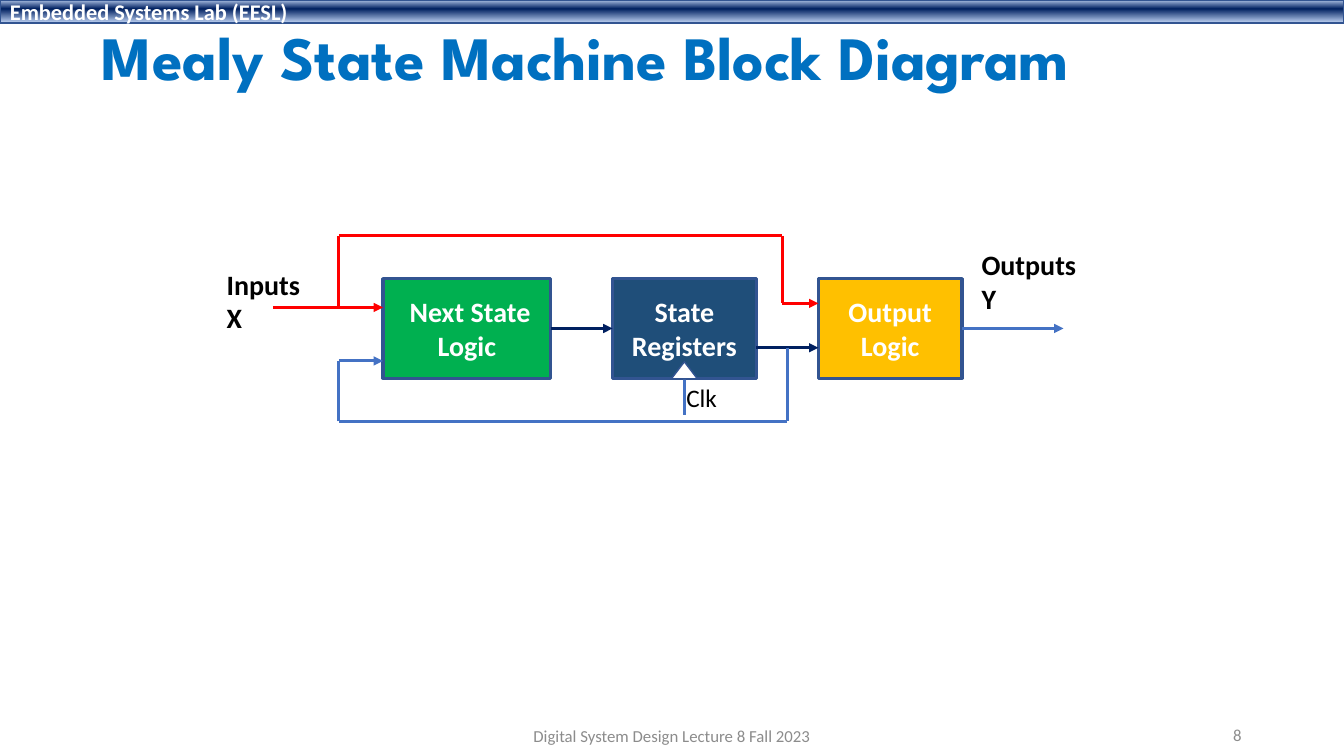
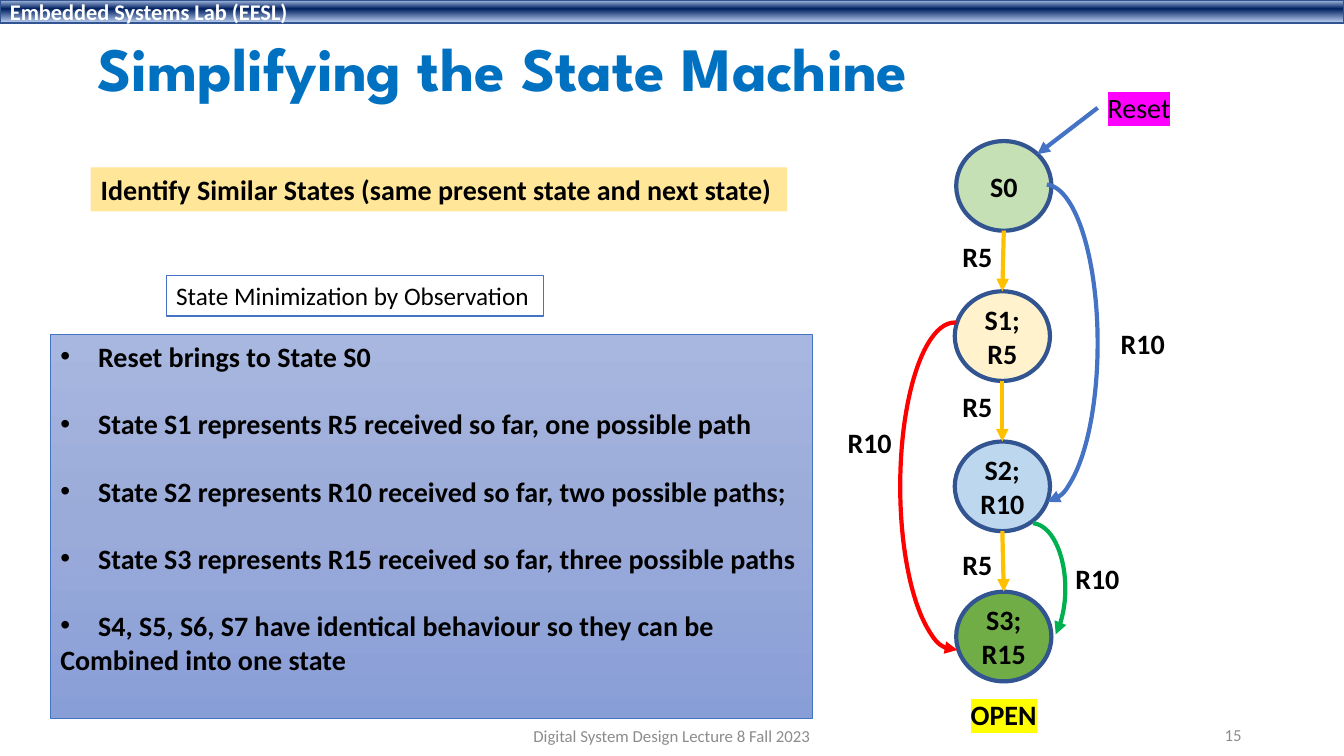
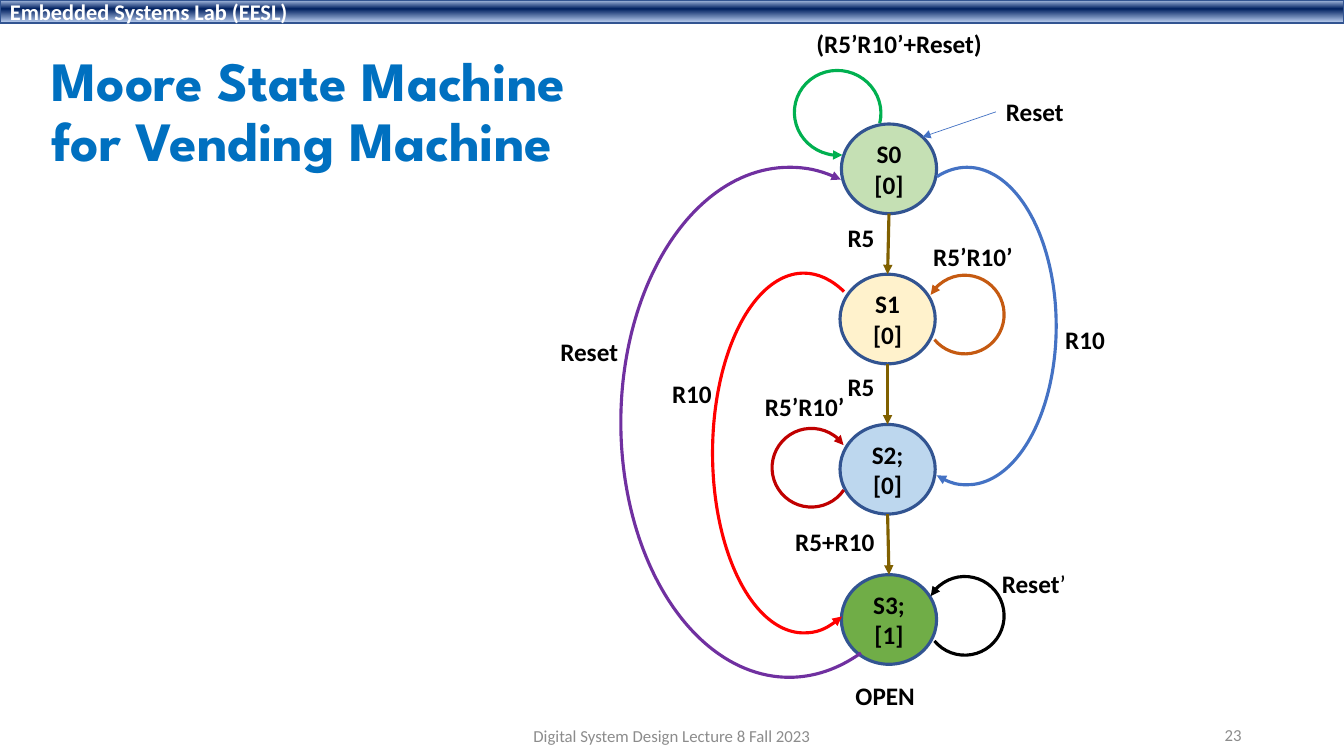
import lxml.etree
import pptx
import pptx.dml.color
import pptx.enum.shapes
import pptx.enum.text
import pptx.oxml.ns
import pptx.util

RGB = pptx.dml.color.RGBColor
KIND = pptx.enum.shapes.MSO_SHAPE
ALIGN = pptx.enum.text.PP_ALIGN
ANCHOR = pptx.enum.text.MSO_ANCHOR
FIT = pptx.enum.text.MSO_AUTO_SIZE.SHAPE_TO_FIT_TEXT

# Colours
BLACK, WHITE = RGB(0, 0, 0), RGB(255, 255, 255)
GREY = RGB(0x8C, 0x8C, 0x8C)
TITLE = RGB(0x00, 0x70, 0xC0)
EDGE = RGB(0x32, 0x54, 0x91)
BLUE = RGB(0x44, 0x72, 0xC4)
NAVY = RGB(0x00, 0x20, 0x60)
STEEL = RGB(0x1F, 0x4E, 0x79)
RED = RGB(0xFF, 0x00, 0x00)
CRIMSON = RGB(0xC0, 0x00, 0x00)
GREEN = RGB(0x00, 0xB0, 0x50)
GOLD = RGB(0xFF, 0xC0, 0x00)
CREAM = RGB(0xFF, 0xE6, 0x99)
OLIVE = RGB(0x80, 0x60, 0x00)
RUST = RGB(0xC5, 0x5A, 0x11)
PURPLE = RGB(0x70, 0x30, 0xA0)
PINK = RGB(0xFF, 0x00, 0xFF)
YELLOW = RGB(0xFF, 0xFF, 0x00)
SKY, MIST = RGB(0xAB, 0xC0, 0xE4), RGB(0xAC, 0xC1, 0xE5)
STATES = (RGB(0xC5, 0xE0, 0xB4), RGB(0xFF, 0xF2, 0xCC),
          RGB(0xBD, 0xD7, 0xEE), RGB(0x70, 0xAD, 0x47))

# Gradient stops: position in percent, colour
BAND = ((0, SKY), (38, NAVY), (93, MIST), (100, MIST))
PANEL = ((0, RGB(0xA8, 0xB7, 0xDF)), (50, RGB(0x9A, 0xAB, 0xD9)),
         (100, RGB(0x88, 0x9E, 0xD7)))

# State circles
WIDE, HIGH, PITCH = 68, 64, 107.3


def pts(*nums):
    return [pptx.util.Pt(n) for n in nums]


def add(parent, tag, **attrs):
    return lxml.etree.SubElement(parent, pptx.oxml.ns.qn(tag), **attrs)


def write(shape, text, size, color=BLACK, bold=True, align=ALIGN.LEFT,
          anchor=ANCHOR.TOP, wrap=False, face="Calibri"):
    frame = shape.text_frame
    frame.text = text
    frame.word_wrap = wrap
    frame.vertical_anchor = anchor
    for para in frame.paragraphs:
        para.alignment = align
        font = para.font
        font.name, font.size, font.bold = face, pptx.util.Pt(size), bold
        font.color.rgb = color
    return frame


def label(slide, text, x, y, w, size=20, mark=None, **style):
    rows = text.count("\n") + 1
    box = slide.shapes.add_textbox(*pts(x, y, w, rows * size * 1.2 + 7.2))
    frame = write(box, text, size, **style)
    frame.auto_size = FIT
    if mark:
        props = frame.paragraphs[0].runs[0].font._element
        add(add(props, "a:highlight"), "a:srgbClr", val=str(mark))
    return frame


def block(slide, kind, x, y, w, h, fill=None, edge=None, weight=1.0):
    shape = slide.shapes.add_shape(kind, *pts(x, y, w, h))
    shape.shadow.inherit = False
    if fill:
        shape.fill.solid()
        shape.fill.fore_color.rgb = fill
    else:
        shape.fill.background()
    if edge:
        shape.line.color.rgb = edge
        shape.line.width = pptx.util.Pt(weight)
    else:
        shape.line.fill.background()
    return shape


def fade(shape, stops):
    shape.fill.gradient()
    shape.fill.gradient_angle = 270
    group = next(shape.element.spPr.iter(pptx.oxml.ns.qn("a:gsLst")))
    for old in list(group):
        group.remove(old)
    for pos, color in stops:
        stop = add(group, "a:gs", pos=str(pos * 1000))
        add(stop, "a:srgbClr", val=str(color))


def point(shape, end="tail"):
    line = shape.element.spPr.find(pptx.oxml.ns.qn("a:ln"))
    add(line, f"a:{end}End", type="triangle")


def link(slide, start, stop, color, weight=2.25, arrow=True,
         source=None, target=None):
    wire = slide.shapes.add_connector(
        pptx.enum.shapes.MSO_CONNECTOR.STRAIGHT, *pts(*start, *stop))
    wire.line.color.rgb = color
    wire.line.width = pptx.util.Pt(weight)
    add(wire.element.spPr, "a:effectLst")
    if arrow:
        point(wire)
    if source:
        wire.begin_connect(*source)
    if target:
        wire.end_connect(*target)


def route(slide, stops, color):
    last = len(stops) - 2
    for i, (start, stop) in enumerate(zip(stops, stops[1:])):
        link(slide, start, stop, color, arrow=i == last)


def arc(slide, x, y, w, h, span, color, weight=2.25, end="tail",
        flip=False, turn=0):
    curve = block(slide, KIND.ARC, x, y, w, h, None, color, weight)
    curve.adjustments[0], curve.adjustments[1] = span
    curve.rotation = turn
    if flip:
        curve.element.spPr.find(pptx.oxml.ns.qn("a:xfrm")).set("flipH", "1")
    point(curve, end)


def loop(slide, x, y, w, h, color, turn, flip=False):
    arc(slide, x, y, w, h, (41.84, 0), color, end="head", flip=flip, turn=turn)


def chain(slide, x, y, names, size, weight, color):
    """Column of four states joined by downward arrows."""
    spots = [(x + dx, y + i * PITCH) for i, dx in enumerate((0, -1, -1, 0))]
    for (left, top), name, fill in zip(spots, names, STATES):
        node = block(slide, KIND.OVAL, left, top, WIDE, HIGH,
                     fill, EDGE, weight)
        write(node, name, size, align=ALIGN.CENTER, anchor=ANCHOR.MIDDLE)
    for (ax, ay), (bx, by) in zip(spots, spots[1:]):
        link(slide, (ax + WIDE / 2, ay + HIGH), (bx + WIDE / 2, by),
             color, weight)


def base(deck, title, area, number, size=44):
    """New slide with band, title, footer and number."""
    slide = deck.slides.add_slide(deck.slide_layouts[6])
    band = block(slide, KIND.RECTANGLE, 0, 0, 960, 16.6, NAVY, EDGE)
    fade(band, BAND)
    write(band, "Embedded Systems Lab (EESL)", 16, WHITE,
          anchor=ANCHOR.MIDDLE, wrap=True)
    head = slide.shapes.add_textbox(*pts(*area))
    frame = write(head, title, size, TITLE, anchor=ANCHOR.MIDDLE,
                  wrap=True, face="League Spartan")
    frame.paragraphs[0].line_spacing = 0.9
    for text, x, y, w, align in (
            ("Digital System Design Lecture 8 Fall 2023",
             318, 511.5, 324, ALIGN.CENTER),
            (number, 678, 510.5, 216, ALIGN.RIGHT)):
        foot = slide.shapes.add_textbox(*pts(x, y, w, 28.8))
        write(foot, text, 12, GREY, False, align, ANCHOR.MIDDLE, True)
    return slide


def mealy(deck):
    slide = base(deck, "Mealy State Machine Block Diagram",
                 (65.5, 15.8, 828, 55.4), "8")
    # Logic blocks
    logic = []
    for text, x, w, fill in ((" Next State Logic", 273.6, 119.8, GREEN),
                             ("State Registers", 437.6, 102.6, STEEL),
                             ("Output Logic", 584.6, 102.6, GOLD)):
        box = block(slide, KIND.RECTANGLE, x, 199, w, 71.2, fill, EDGE, 2.25)
        write(box, text, 20, WHITE, align=ALIGN.CENTER,
              anchor=ANCHOR.MIDDLE, wrap=True)
        logic.append(box)
    following, store, output = logic
    # Signals
    link(slide, (195, 219.6), (273.6, 219.6), RED)
    route(slide, [(242, 219.6), (242, 168.5), (558.7, 168.5),
                  (558.7, 216.7), (584.6, 216.7)], RED)
    link(slide, (540.2, 248.4), (584.6, 248.4), NAVY)
    route(slide, [(562.3, 248.4), (562.3, 301), (242, 301),
                  (242, 257.8), (273.6, 257.8)], BLUE)
    link(slide, (393.4, 234.6), (437.6, 234.6), NAVY,
         source=(following, 3), target=(store, 1))
    link(slide, (687.2, 234.6), (759.6, 234.6), BLUE, source=(output, 3))
    label(slide, "Inputs\nX", 154.8, 187.2, 67.7)
    label(slide, "Outputs\nY", 694, 173.5, 82.8)
    # Clock
    link(slide, (488.9, 270.2), (488.9, 296.6), BLUE, arrow=False,
         source=(store, 2))
    block(slide, KIND.ISOSCELES_TRIANGLE, 479.5, 258.5, 18.7, 12.2,
          WHITE, EDGE)
    label(slide, "Clk", 483.1, 269.3, 36.7, 18, bold=False)


def simple(deck):
    slide = base(deck, "Simplifying the State Machine",
                 (62.6, 13.7, 655, 74.9), "15")
    # Notes on the left
    hint = block(slide, KIND.RECTANGLE, 64.8, 119.5, 497.5, 31.5, CREAM)
    write(hint, "Identify Similar States (same present state and next state)",
          20, wrap=True)
    method = block(slide, KIND.RECTANGLE, 118.8, 196.8, 269.3, 29, WHITE, BLUE)
    write(method, "State Minimization by Observation", 18, bold=False,
          wrap=True)
    panel = block(slide, KIND.RECTANGLE, 36, 239, 544.3, 273.8,
                  WHITE, BLUE, 0.5)
    fade(panel, PANEL)
    lines = ("Reset brings to State S0",
             "State S1 represents R5 received so far, one possible path",
             "State S2 represents R10 received so far, two possible paths;",
             "State S3 represents R15 received so far, three possible paths",
             "S4, S5, S6, S7 have identical behaviour so they can be",
             "Combined into one state")
    frame = write(panel, "\n".join(lines), 20, wrap=True)
    for i, para in enumerate(frame.paragraphs[:-1]):
        props = para._p.get_or_add_pPr()
        props.set("marL", str(pptx.util.Pt(27)))
        props.set("indent", str(pptx.util.Pt(-27)))
        if i:
            para.space_before = pptx.util.Pt(24)
        mark = props.find(pptx.oxml.ns.qn("a:defRPr"))
        for tag, attrs in (("a:buFont", {"typeface": "Arial"}),
                           ("a:buChar", {"char": "•"})):
            mark.addprevious(add(props, tag, **attrs))
    # State diagram
    chain(slide, 683, 100.8, ("S0", "S1;\nR5", "S2;\nR10", "S3;\nR15"),
          20, 3, GOLD)
    link(slide, (784.1, 77), (740.9, 110.2), BLUE, 3)
    arc(slide, 709.2, 131.8, 74.9, 226.8, (162.34, 53.5), BLUE, 3)
    arc(slide, 643, 230.4, 77.8, 234, (161.66, 54.56), RED, 3, flip=True)
    arc(slide, 712.8, 373.7, 48.2, 93.6, (162.78, 37.3), GREEN, 3)
    for y in (167.8, 275, 387.4):
        label(slide, "R5", 680.4, y, 36)
    for x, y in ((793.4, 229.7), (598.3, 300.2), (761, 397.4)):
        label(slide, "R10", x, y, 46)
    label(slide, "OPEN", 686.2, 494.6, 62, mark=YELLOW)
    label(slide, "Reset", 784.1, 61.2, 59.8, mark=PINK, bold=False)


def moore(deck):
    slide = base(deck, "Moore State Machine\vfor Vending Machine",
                 (29.5, 28.8, 450.7, 104.4), "23", 39.6)
    # States and transitions
    chain(slide, 601, 88.6, ("S0\n[0]", "S1\n[0]", "S2;\n[0]", "S3;\n[1]"),
          18, 2.25, OLIVE)
    link(slide, (711.4, 79.9), (658.8, 97.9), BLUE, 0.5)
    arc(slide, 627.1, 119.5, 127.4, 226.8, (155.17, 60.89), BLUE)
    arc(slide, 509, 195.1, 130.3, 257, (153.59, 61.87), RED, flip=True)
    arc(slide, 443.5, 119.5, 240.5, 364.3, (154.79, 64.38), PURPLE,
        end="head", flip=True)
    # Self loops
    loop(slide, 567.4, 50.4, 61.9, 60.5, GREEN, 13.8)
    loop(slide, 661, 196.6, 56.2, 56.2, RUST, 140.3)
    loop(slide, 661, 411.8, 56.2, 56.2, BLACK, 140.3)
    loop(slide, 551.5, 306, 56.2, 56.2, CRIMSON, 214.6, True)
    # Conditions
    for text, x, y, w in (("OPEN", 604, 482.4, 57.6),
                          ("R10", 753.8, 228.2, 44),
                          ("R10", 473, 266.4, 44),
                          ("R5", 598.3, 155.5, 33.8),
                          ("R5", 598.3, 262, 33.8),
                          ("R5+R10", 560.9, 372.2, 72),
                          ("Reset", 711.4, 65.5, 56.2),
                          ("Reset", 393.1, 236.9, 56.2),
                          ("(R5’R10’+Reset)", 576, 16.6, 133.9),
                          ("R5’R10’", 659.5, 168.5, 72),
                          ("R5’R10’", 539.3, 275.8, 72)):
        label(slide, text, x, y, w, 18)
    frame = label(slide, "Reset", 708.5, 402.5, 60.5, 18)
    prime = frame.paragraphs[0].add_run()
    prime.text = "’"
    prime.font.bold = False


def main():
    deck = pptx.Presentation()
    deck.slide_width, deck.slide_height = pts(960, 540)
    mealy(deck)
    simple(deck)
    moore(deck)
    deck.save("out.pptx")


if __name__ == "__main__":
    main()
